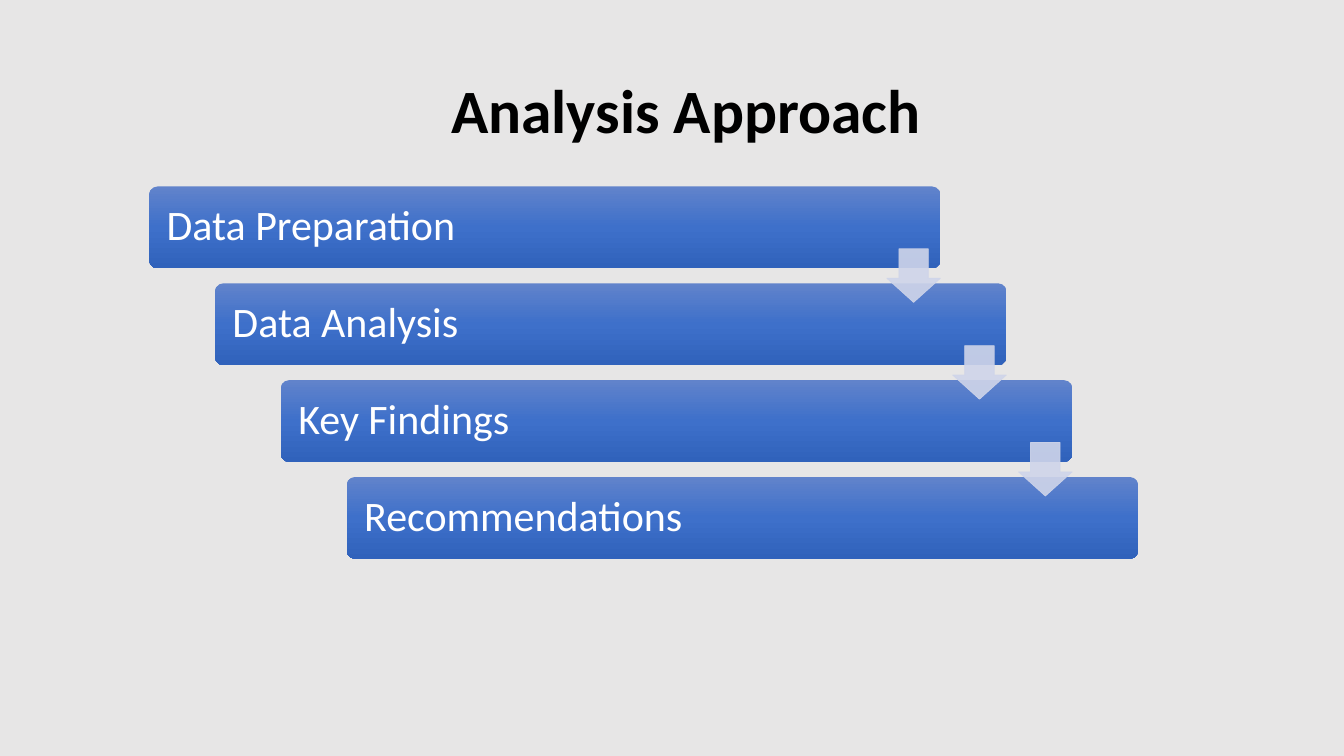
"""Build the Analysis Approach slide: four stepped bars joined by arrows."""
import copy
from dataclasses import dataclass

import pptx
import pptx.dml.color
import pptx.enum.shapes
import pptx.enum.text
import pptx.oxml.ns
import pptx.util
from lxml import etree
from pptx.util import Cm


@dataclass(frozen=True)
class Theme:
    font: str = "Calibri"
    background: str = "E7E6E6"
    title: str = "000000"
    bar_text: str = "FFFFFF"
    bar_gradient: tuple = ((0, "6183CB"), (0.5, "3E70CA"), (1, "3062BB"))
    arrow: str = "CFD5EA"
    arrow_alpha: int = 90
    title_size: int = 44
    bar_size: int = 30


THEME = Theme()
STEPS = ("Data Preparation", "Data Analysis", "Key Findings", "Recommendations")
BAR_LEFT, BAR_TOP = Cm(3.76), Cm(4.7)
BAR_WIDTH, BAR_HEIGHT = Cm(19.94), Cm(2.06)
STEP_RIGHT, STEP_DOWN = Cm(1.66), Cm(2.44)
ARROW_SIZE, ARROW_DROP = Cm(1.35), Cm(1.57)
INSET = Cm(0.38)


def rgb(value):
    return pptx.dml.color.RGBColor.from_string(value)


def format_paragraph(paragraph, size, color, alignment, bold=False):
    paragraph.alignment = alignment
    paragraph.font.name = THEME.font
    paragraph.font.size = pptx.util.Pt(size)
    paragraph.font.bold = bold
    paragraph.font.color.rgb = rgb(color)
    paragraph.line_spacing = 0.9


def add_title(slide, text):
    title = slide.shapes.title
    title.left, title.top = Cm(2.69), Cm(1.02)
    title.width, title.height = Cm(29.21), Cm(3.68)
    frame = title.text_frame
    frame.text = text
    frame.vertical_anchor = pptx.enum.text.MSO_ANCHOR.MIDDLE
    format_paragraph(frame.paragraphs[0], THEME.title_size, THEME.title,
                     pptx.enum.text.PP_ALIGN.CENTER, bold=True)


def fill_gradient(shape):
    shape.fill.gradient()
    shape.fill.gradient_angle = 270
    stop_list = shape.element.spPr.find(".//" + pptx.oxml.ns.qn("a:gsLst"))
    stop_list.append(copy.deepcopy(stop_list[0]))
    for stop, (position, color) in zip(shape.fill.gradient_stops, THEME.bar_gradient):
        stop.position = position
        stop.color.rgb = rgb(color)


def add_bar(shapes, left, top, text):
    bar = shapes.add_shape(pptx.enum.shapes.MSO_SHAPE.ROUNDED_RECTANGLE,
                           left, top, BAR_WIDTH, BAR_HEIGHT)
    bar.adjustments[0] = 0.1
    bar.shadow.inherit = False
    bar.line.fill.background()
    fill_gradient(bar)
    frame = bar.text_frame
    frame.word_wrap = True
    frame.margin_left = frame.margin_right = INSET
    frame.vertical_anchor = pptx.enum.text.MSO_ANCHOR.MIDDLE
    frame.text = text
    format_paragraph(frame.paragraphs[0], THEME.bar_size, THEME.bar_text,
                     pptx.enum.text.PP_ALIGN.LEFT)


def add_arrow(shapes, left, top):
    arrow = shapes.add_shape(pptx.enum.shapes.MSO_SHAPE.DOWN_ARROW,
                             left, top, ARROW_SIZE, ARROW_SIZE)
    arrow.adjustments[0], arrow.adjustments[1] = 0.55, 0.45
    arrow.shadow.inherit = False
    arrow.fill.solid()
    arrow.fill.fore_color.rgb = rgb(THEME.arrow)
    arrow.line.color.rgb = rgb(THEME.arrow)
    arrow.line.width = pptx.util.Pt(0.5)
    for color in arrow.element.spPr.iter(pptx.oxml.ns.qn("a:srgbClr")):
        alpha = etree.SubElement(color, pptx.oxml.ns.qn("a:alpha"))
        alpha.set("val", str(THEME.arrow_alpha * 1000))


def add_staircase(slide, steps):
    shapes = slide.shapes.add_group_shape().shapes
    corners = [(BAR_LEFT + index * STEP_RIGHT, BAR_TOP + index * STEP_DOWN)
               for index in range(len(steps))]
    for (left, top), text in zip(corners, steps):
        add_bar(shapes, left, top, text)
    for left, top in corners[:-1]:
        add_arrow(shapes, left + BAR_WIDTH - ARROW_SIZE, top + ARROW_DROP)


def main():
    presentation = pptx.Presentation()
    presentation.slide_width, presentation.slide_height = Cm(33.87), Cm(19.05)
    slide = presentation.slides.add_slide(presentation.slide_layouts[5])
    slide.background.fill.solid()
    slide.background.fill.fore_color.rgb = rgb(THEME.background)
    add_title(slide, "Analysis Approach")
    add_staircase(slide, STEPS)
    presentation.save("out.pptx")


if __name__ == "__main__":
    main()
